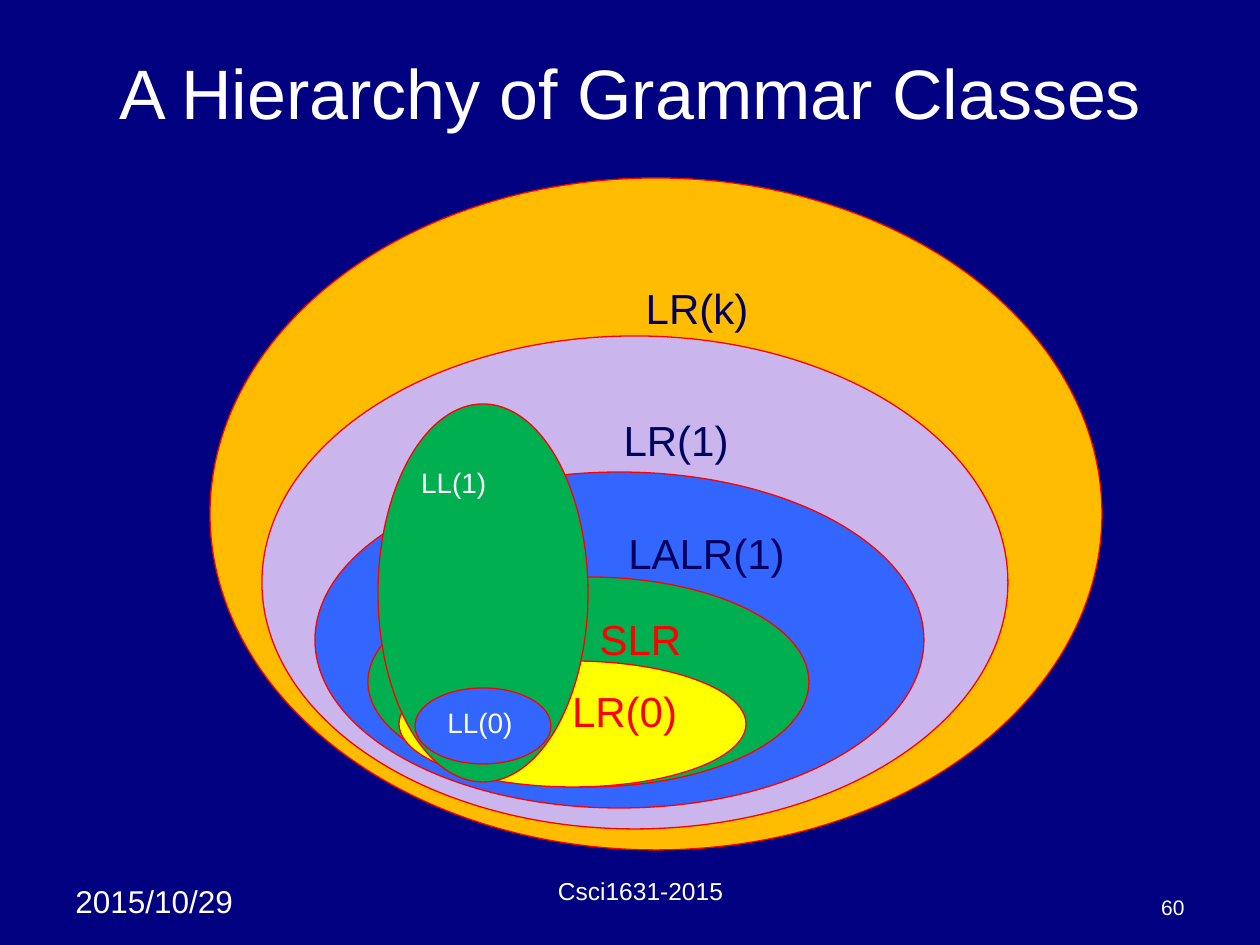
import pptx
import pptx.util
import pptx.dml.color
import pptx.enum.shapes
import pptx.enum.text

PX = 914400 // 126
ALIGN = pptx.enum.text.PP_ALIGN
ANCHOR = pptx.enum.text.MSO_ANCHOR

THEME = {
    "font": "Arial",
    "background": "000080", "outline": "FF0000",
    "white": "FFFFFF", "navy": "000060", "red": "FF0000",
    "orange": "FFBC01", "lilac": "CAB5EC", "blue": "3366FF",
    "green": "00B050", "yellow": "FFFF00",
    "title": 40, "class": 24, "small": 16,
    "date": 18, "footer": 14, "number": 12,
}

# Content: boxes are left, top, width, height in px
TITLE = ("A Hierarchy of Grammar Classes", (63, 38, 1134, 108))

# Label, box, fill, text colour, text size, alignment, label shift to the right
CLASSES = [
    ("LR(k)", (210, 178, 892, 672), "orange", "navy", "class", ALIGN.CENTER, 41),
    ("LR(1)", (262, 336, 746, 493), "lilac", "navy", "class", ALIGN.CENTER, 41),
    ("LALR(1)", (315, 472, 609, 336), "blue", "navy", "class", ALIGN.CENTER, 87),
    ("SLR", (368, 577, 441, 210), "green", "red", "class", ALIGN.CENTER, 52),
    ("LR(0)", (399, 661, 347, 126), "yellow", "red", "class", ALIGN.CENTER, 52),
    ("LL(1)", (378, 404, 210, 378), "green", "white", "small", ALIGN.LEFT, 0),
    ("LL(0)", (415, 688, 136, 76), "blue", "white", "small", ALIGN.LEFT, 0),
]

# Text, box, size, alignment, anchor
FOOTERS = [
    ("2015/10/29", (63, 876, 199, 50), "date", ALIGN.LEFT, ANCHOR.TOP),
    ("Csci1631-2015", (441, 878, 399, 34), "footer", ALIGN.CENTER, ANCHOR.BOTTOM),
    ("60", (1081, 872, 116, 54), "number", ALIGN.RIGHT, ANCHOR.BOTTOM),
]


def color(name):
    return pptx.dml.color.RGBColor.from_string(THEME[name])


def emu(box):
    return [value * PX for value in box]


def write(shape, text, size, text_color, alignment, anchor, shift=0):
    """Set the text; a centred label moves by half of the extra left margin."""
    frame = shape.text_frame
    frame_format = {
        "word_wrap": True, "vertical_anchor": anchor,
        "margin_left": pptx.util.Inches(0.1) + 2 * shift * PX,
        "margin_right": pptx.util.Inches(0.1),
        "margin_top": pptx.util.Inches(0.05),
        "margin_bottom": pptx.util.Inches(0.05),
    }
    for name, value in frame_format.items():
        setattr(frame, name, value)
    paragraph = frame.paragraphs[0]
    paragraph.text = text
    paragraph.alignment = alignment
    paragraph.font.name = THEME["font"]
    paragraph.font.size = pptx.util.Pt(THEME[size])
    paragraph.font.color.rgb = color(text_color)


def add_class(slide, label, box, fill, text_color, size, alignment, shift):
    shape = slide.shapes.add_shape(pptx.enum.shapes.MSO_SHAPE.OVAL, *emu(box))
    shape.shadow.inherit = False
    shape.fill.solid()
    shape.fill.fore_color.rgb = color(fill)
    shape.line.color.rgb = color("outline")
    shape.line.width = pptx.util.Pt(0.75)
    write(shape, label, size, text_color, alignment, ANCHOR.TOP, shift)


def main():
    presentation = pptx.Presentation()
    presentation.slide_width = 1260 * PX
    presentation.slide_height = 945 * PX
    slide = presentation.slides.add_slide(presentation.slide_layouts[5])
    slide.background.fill.solid()
    slide.background.fill.fore_color.rgb = color("background")

    # Title
    text, box = TITLE
    title = slide.shapes.title
    title.left, title.top, title.width, title.height = emu(box)
    write(title, text, "title", "white", ALIGN.CENTER, ANCHOR.MIDDLE)

    # Nested grammar classes, outermost first
    for grammar_class in CLASSES:
        add_class(slide, *grammar_class)

    # Date, footer and slide number
    for text, box, size, alignment, anchor in FOOTERS:
        write(slide.shapes.add_textbox(*emu(box)), text, size, "white", alignment, anchor)

    presentation.save("out.pptx")


if __name__ == "__main__":
    main()
